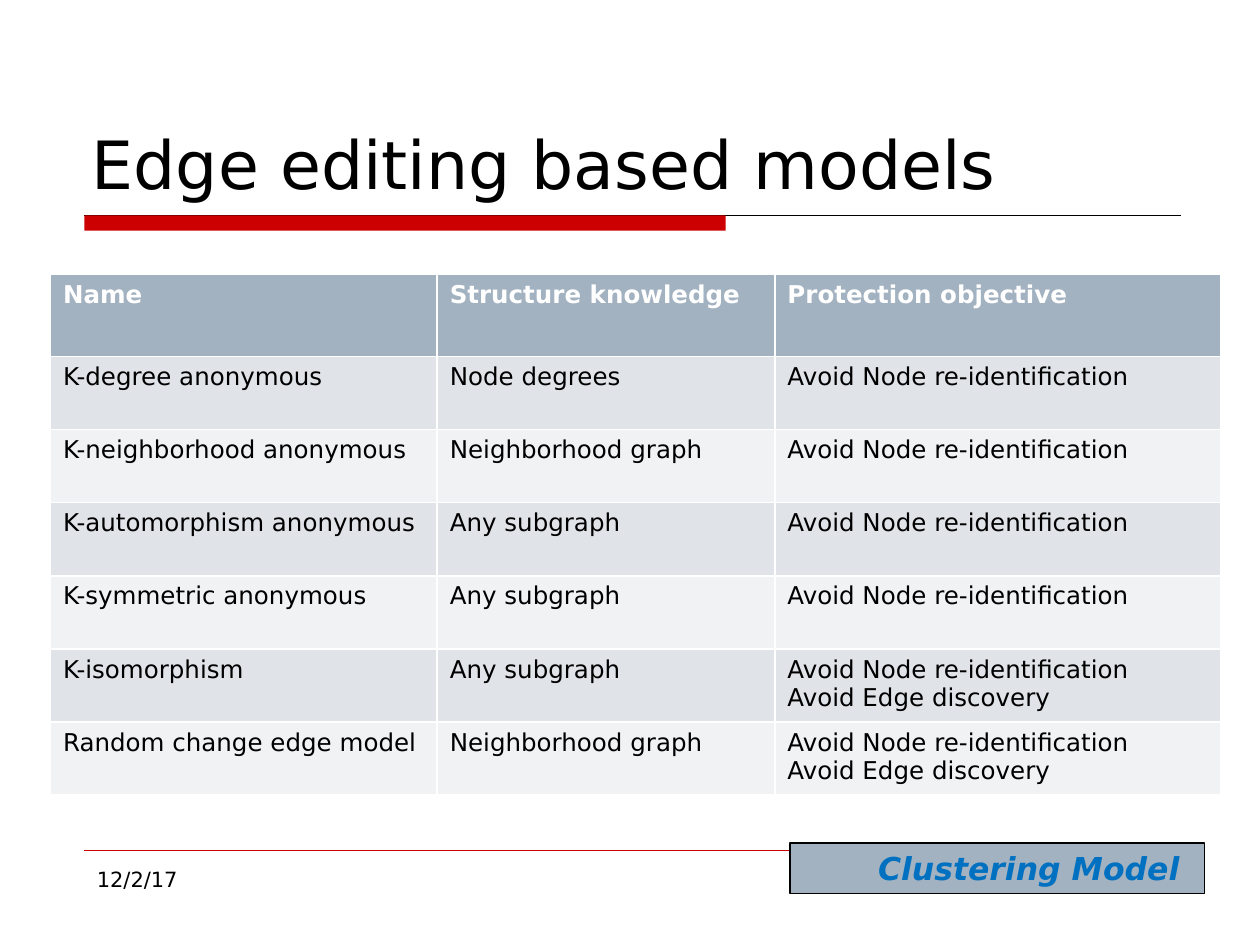
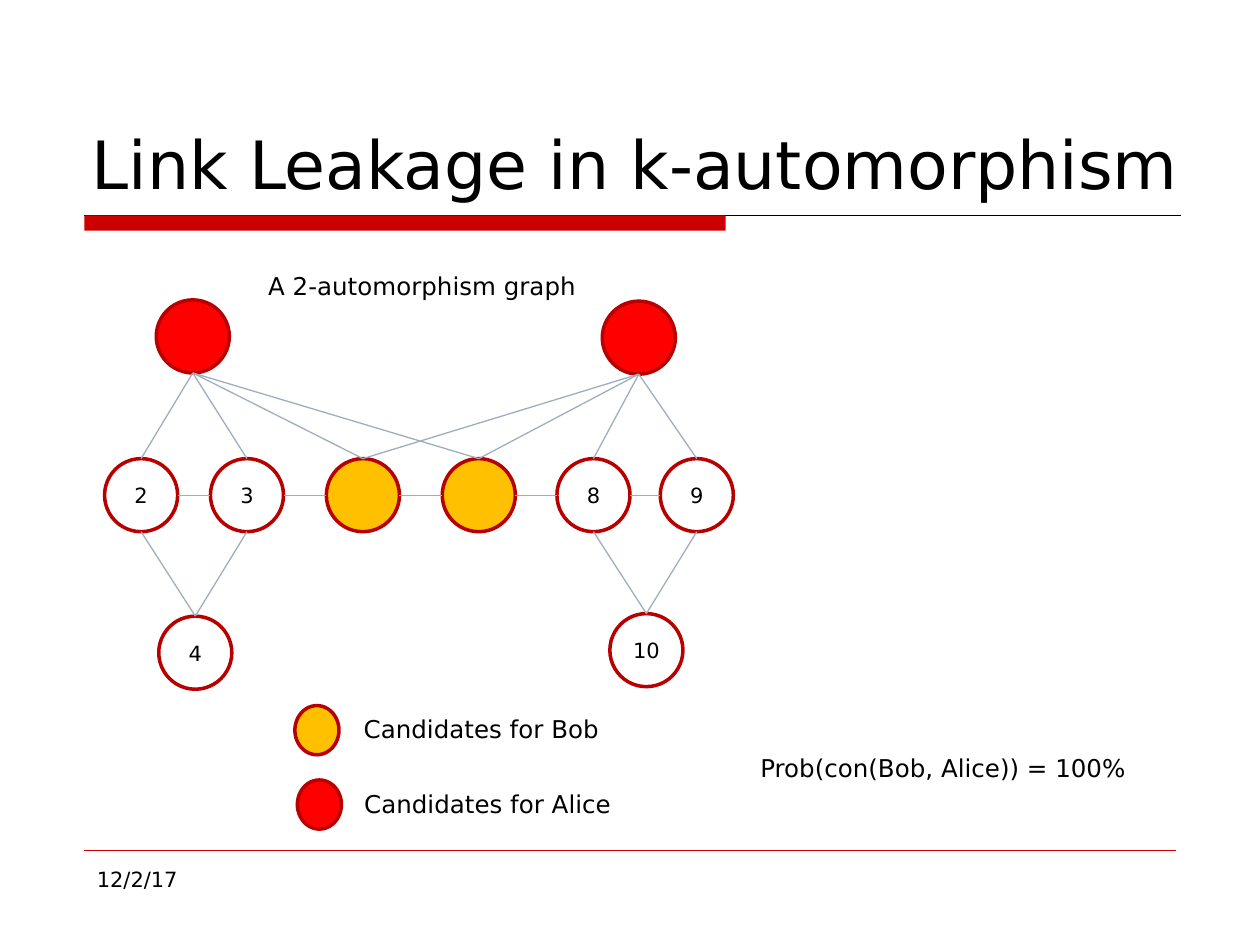
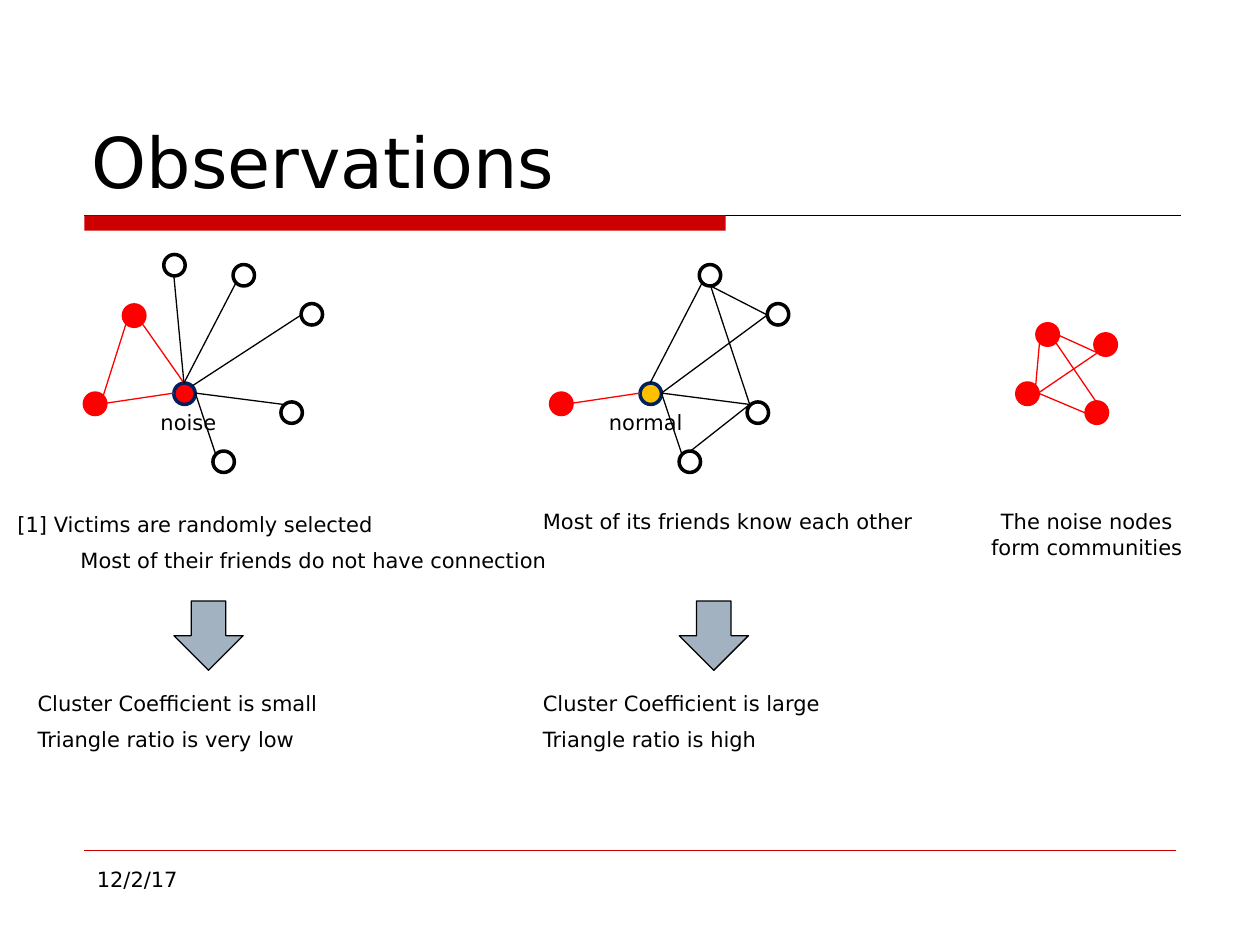
from dataclasses import dataclass
from math import cos, radians, sin

from lxml import etree
from pptx import Presentation
from pptx import util as u
from pptx.dml.color import RGBColor
from pptx.enum import shapes, text

PX = 9144  # EMU per px, 100 px to the inch
INK = {
    "black": "000000", "white": "FFFFFF", "band": "CC0000", "red": "FF0000",
    "amber": "FFC000", "ring": "B90000", "navy": "002060", "steel": "A3B2C1",
    "edge": "9FAEBD", "blue": "0070C0", "odd": "E0E4E9", "even": "F0F2F4",
}
FACE = "DejaVu Sans"
DATE = "12/2/17"
LEFT, MID = text.PP_ALIGN.LEFT, text.PP_ALIGN.CENTER
OVAL = shapes.MSO_SHAPE.OVAL
BOX = shapes.MSO_SHAPE.RECTANGLE
ARROW = shapes.MSO_SHAPE.DOWN_ARROW
SITES = {s: 45 * i for i, s in enumerate("e se s sw w nw n ne".split())}


@dataclass
class Node:
    x: int
    y: int
    size: int
    fill: str = "white"
    line: str = "black"
    label: str = ""

    def site(self, side: str) -> tuple[int, int]:
        """Point on the rim in a compass direction."""
        turn, half = radians(SITES[side]), self.size / 2
        return (round(self.x + half + half * cos(turn)),
                round(self.y + half + half * sin(turn)))


@dataclass
class Note:
    x: int
    y: int
    w: int
    h: int
    lines: tuple[str, ...]
    size: int = 12
    align: int = LEFT
    inset: int = 0  # indent of the second line


def rgb(name: str) -> RGBColor:
    return RGBColor.from_string(INK[name])


def px(*vals: int) -> list[int]:
    return [u.Emu(v * PX) for v in vals]


def style(para, size: int, ink: str = "black", **more) -> None:
    form = {"name": FACE, "size": u.Pt(size), "bold": False, **more}
    for key, val in form.items():
        setattr(para.font, key, val)
    para.font.color.rgb = rgb(ink)


def write(frame, lines, size: int, align=LEFT, ink="black", gap=0, **more) -> None:
    frame.text = "\n".join(lines)
    for i, para in enumerate(frame.paragraphs):
        para.alignment = align
        if i and gap:
            para.space_before = u.Pt(gap)
        style(para, size, ink, **more)


def shape(slide, kind, x, y, w, h, fill: str, line: str = "", width: float = 0.75):
    item = slide.shapes.add_shape(kind, *px(x, y, w, h))
    item.shadow.inherit = False
    item.fill.solid()
    item.fill.fore_color.rgb = rgb(fill)
    if line:
        item.line.color.rgb = rgb(line)
        item.line.width = u.Pt(width)
    else:
        item.line.fill.background()
    return item


def link(slide, start, end, ink: str, width: float = 0.75) -> None:
    item = slide.shapes.add_connector(
        shapes.MSO_CONNECTOR.STRAIGHT, *px(*start, *end))
    item.line.color.rgb = rgb(ink)
    item.line.width = u.Pt(width)
    props = item._element.spPr
    etree.SubElement(props, props.tag.split("}")[0].replace(
        "presentationml", "drawingml") + "}effectLst")


def note(slide, spec: Note):
    item = slide.shapes.add_textbox(*px(spec.x, spec.y, spec.w, spec.h))
    frame = item.text_frame
    frame.word_wrap = True
    write(frame, spec.lines, spec.size, spec.align, gap=6)
    if spec.inset:
        frame.paragraphs[1]._p.get_or_add_pPr().set("marL", str(spec.inset * PX))
    return frame


def dot(slide, node: Node) -> None:
    item = shape(slide, OVAL, node.x, node.y, node.size, node.size,
                 node.fill, node.line, 2)
    if node.label:
        frame = item.text_frame
        for side in ("left", "right", "top", "bottom"):
            setattr(frame, f"margin_{side}", 0)
        frame.vertical_anchor = text.MSO_ANCHOR.MIDDLE
        write(frame, [node.label], 12, MID)


def graph(slide, nodes: dict[str, Node], edges: dict[str, list[str]]) -> None:
    """Edges read 'node.side node.side', grouped by colour."""
    for node in nodes.values():
        dot(slide, node)
    for ink, pairs in edges.items():
        for pair in pairs:
            ends = [end.split(".") for end in pair.split()]
            start, stop = (nodes[name].site(side) for name, side in ends)
            link(slide, start, stop, ink)


def base(deck, title: str, size: int = 38, width: int = 875):
    """Blank slide with title, band, foot line and date."""
    slide = deck.slides.add_slide(deck.slide_layouts[6])
    link(slide, (67, 171), (937, 171), "black")
    shape(slide, BOX, 67, 171, 509, 12, "band")
    link(slide, (67, 675), (933, 675), "band", 0.25)
    head = note(slide, Note(63, 33, width, 133, (title,), size))
    head.vertical_anchor = text.MSO_ANCHOR.BOTTOM
    note(slide, Note(67, 683, 217, 52, (DATE,)))
    return slide


NODE, EDGE = "Avoid Node re-identification", "Avoid Edge discovery"
ROWS = [
    ("Name", "Structure knowledge", "Protection objective"),
    ("K-degree anonymous", "Node degrees", NODE),
    ("K-neighborhood anonymous", "Neighborhood graph", NODE),
    ("K-automorphism anonymous", "Any subgraph", NODE),
    ("K-symmetric anonymous", "Any subgraph", NODE),
    ("K-isomorphism", "Any subgraph", f"{NODE}\n{EDGE}"),
    ("Random change edge model", "Neighborhood graph", f"{NODE}\n{EDGE}"),
]


def models(deck) -> None:
    slide = base(deck, "Edge editing based models")
    grid = slide.shapes.add_table(len(ROWS), 3, *px(40, 218, 929, 413)).table
    for col, wide in zip(grid.columns, px(307, 268, 354)):
        col.width = wide
    for r, row in enumerate(ROWS):
        grid.rows[r].height = u.Emu((58 if r else 65) * PX)
        fill = ("odd" if r % 2 else "even") if r else "steel"
        for c, words in enumerate(row):
            cell = grid.cell(r, c)
            cell.fill.solid()
            cell.fill.fore_color.rgb = rgb(fill)
            write(cell.text_frame, words.split("\n"), 14,
                  ink="black" if r else "white", bold=not r)
    # Tag over the foot line
    tag = shape(slide, BOX, 627, 669, 329, 40, "steel", "black").text_frame
    tag.vertical_anchor = text.MSO_ANCHOR.MIDDLE
    write(tag, ["Clustering Model"], 18, MID, "blue", bold=True, italic=True)
    props = tag.paragraphs[0]._p.get_or_add_pPr()
    for key, val in {"marL": 100, "indent": -50}.items():
        props.set(key, str(val * PX))


def leakage(deck) -> None:
    slide = base(deck, "Link Leakage in k-automorphism", width=902)

    def ball(x: int, y: int, label: str = "", fill: str = "white") -> Node:
        return Node(x, y, 58, fill, "ring", label)

    row = 364
    nodes = {
        "4": ball(126, 489, "4"), "10": ball(484, 487, "10"),
        "2": ball(83, row, "2"), "3": ball(167, row, "3"),
        "8": ball(442, row, "8"), "9": ball(524, row, "9"),
        "b1": ball(259, row, fill="amber"), "b2": ball(351, row, fill="amber"),
        "a1": ball(124, 238, fill="red"), "a2": ball(478, 239, fill="red"),
    }
    chain = ["2", "3", "b1", "b2", "8", "9"]
    tops = {"a1": chain[:4], "a2": chain[2:]}
    feet = {"4": chain[:2], "10": chain[4:]}
    edges = [f"{a}.e {b}.w" for a, b in zip(chain, chain[1:])]
    edges += [f"{a}.s {b}.n" for a, group in tops.items() for b in group]
    edges += [f"{a}.n {b}.s" for a, group in feet.items() for b in group]
    graph(slide, nodes, {"edge": edges})
    # Key and captions
    for x, y, fill in ((234, 560, "amber"), (236, 619, "red")):
        shape(slide, OVAL, x, y, 35, 39, fill, "ring", 2)
    for x, y, w, words in (
        (272, 562, 220, "Candidates for Bob"),
        (277, 621, 220, "Candidates for Alice"),
        (201, 210, 268, "A 2-automorphism graph"),
        (579, 593, 339, "Prob(con(Bob, Alice)) = 100%"),
    ):
        note(slide, Note(x, y, w, 34, (words,), 14, MID))


def findings(deck) -> None:
    slide = base(deck, "Observations", 40)
    shift = 370  # from the noise graph to the normal graph

    def star(dx: int, core: str) -> dict[str, Node]:
        spots = {"d": (185, 210), "e": (239, 241), "f": (223, 319), "g": (169, 358)}
        return {
            "a": Node(67 + dx, 312, 17, "red", "red"),
            "hub": Node(138 + dx, 304, 17, core, "navy"),
            **{k: Node(x + dx, y, 17) for k, (x, y) in spots.items()},
        }

    spokes = ["hub.n d.sw", "hub.e f.nw", "hub.e g.nw"]
    friend = "a.e hub.w"
    # Noise node
    noise = star(0, "red")
    noise |= {"b": Node(98, 242, 17, "red", "red"), "c": Node(130, 202, 17)}
    graph(slide, noise, {
        "red": [friend, "hub.n b.se", "b.sw a.ne"],
        "black": spokes + ["hub.ne e.w", "hub.n c.s"],
    })
    # Normal node
    graph(slide, star(shift, "amber"), {
        "red": [friend],
        "black": spokes + ["hub.e e.w", "e.w d.s", "g.n f.nw", "f.nw d.s"],
    })
    # Noise community
    spots = {"p": (807, 304), "q": (862, 319), "r": (823, 257), "s": (869, 265)}
    graph(slide, {k: Node(*at, 17, "red", "red") for k, at in spots.items()}, {
        "red": ["q.n r.se", "r.sw p.ne", "p.e q.w", "s.sw r.e", "s.sw p.e"],
    })
    for x in (138, 539):
        shape(slide, ARROW, x, 477, 55, 55, "steel", "black")
    for spec in (
        Note(114, 320, 71, 30, ("noise",), align=MID),
        Note(469, 320, 87, 30, ("normal",), align=MID),
        Note(4, 401, 449, 61, ("[1] Victims are randomly selected",
                               "Most of their friends do not have connection"),
             inset=50),
        Note(421, 399, 449, 30, ("Most of its friends know each other",)),
        Note(768, 399, 189, 50, ("The noise nodes form communities",), align=MID),
        Note(20, 543, 449, 61, ("Cluster Coefficient is small",
                                "Triangle ratio is very low")),
        Note(421, 543, 449, 61, ("Cluster Coefficient is large",
                                 "Triangle ratio is high")),
    ):
        note(slide, spec)


def main() -> None:
    deck = Presentation()
    deck.slide_width, deck.slide_height = px(1000, 750)
    for build in (models, leakage, findings):
        build(deck)
    deck.save("out.pptx")


if __name__ == "__main__":
    main()
